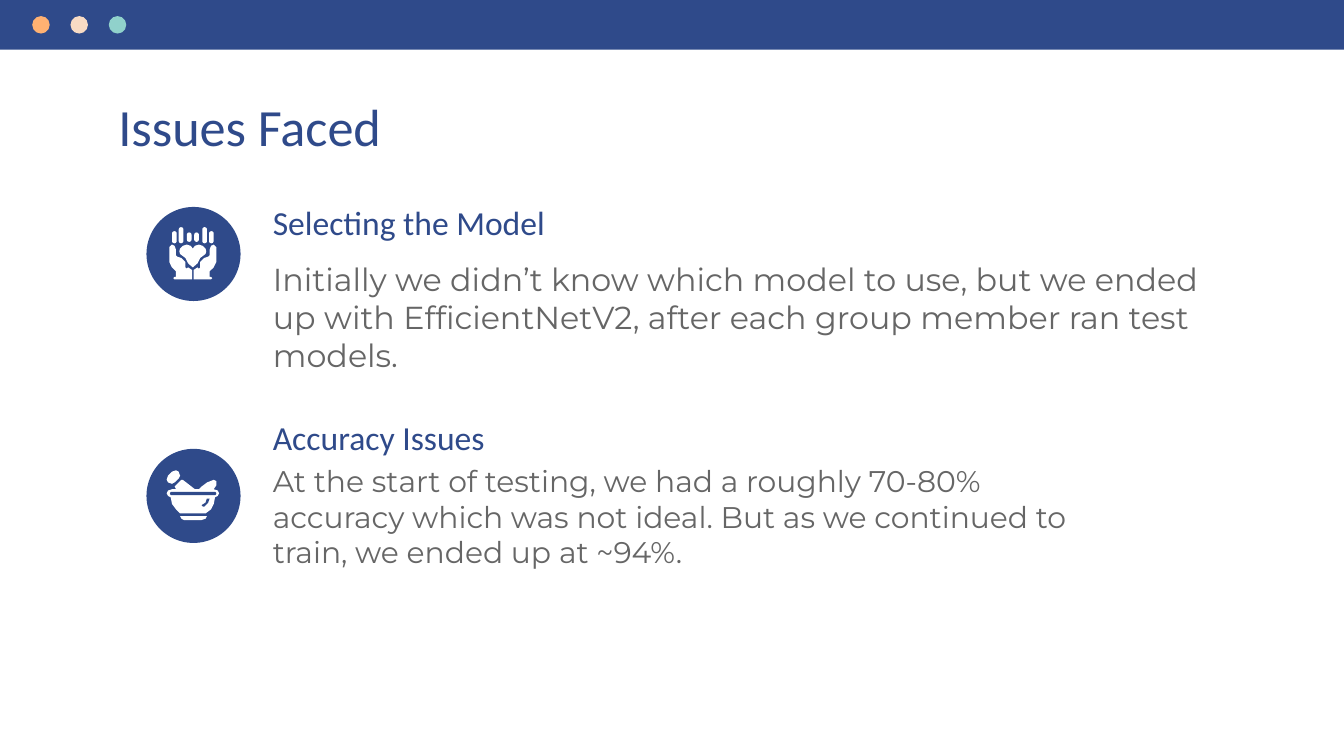
from pptx import Presentation
from pptx.dml.color import RGBColor
from pptx.enum.shapes import MSO_SHAPE
from pptx.enum.text import MSO_ANCHOR, MSO_AUTO_SIZE, PP_ALIGN
from pptx.oxml.ns import qn
from pptx.util import Inches, Pt

OVAL, RECT, ROUND = MSO_SHAPE.OVAL, MSO_SHAPE.RECTANGLE, MSO_SHAPE.ROUNDED_RECTANGLE
TOP, LEFT, NO_FIT = MSO_ANCHOR.TOP, PP_ALIGN.LEFT, MSO_AUTO_SIZE.NONE
NAVY, WHITE, GRAY = "2F4A8A", "FFFFFF", "666666"
DOTS = ["FFB172", "F8DBC4", "90D1CB"]
DISC = 0.7

# Icon outlines, in hundredths of an inch from the corner of the disc.
AXIS = 69  # x + mirrored x
FINGERS = [(19, 18, 3.5, 9), (24, 15, 3.5, 12), (30, 19, 3.5, 7)]
PALM = [(17, 30), (19, 28), (21, 29), (22, 32), (22, 36), (23, 37), (26, 38),
        (29, 41), (29, 45), (30, 46), (31, 45), (34, 47), (34, 54), (21, 54),
        (20, 53), (21, 52), (22, 52), (22, 48), (19, 45), (17, 41)]
HEART = [(34.5, 31), (33, 29), (30, 28), (27, 29), (25, 31), (24.5, 33),
         (25, 35), (29, 38), (31, 42), (34.5, 45)]
BOWL = [(26, 23), (22, 27), (21, 28), (22, 30), (19, 30), (16, 31), (15, 33),
        (16, 35), (18, 36), (19, 41), (22, 45), (25, 48), (44, 48), (48, 45),
        (50, 41), (51, 36), (53, 35), (54, 33), (53, 31), (50, 30), (52, 27),
        (52, 24), (50, 23), (45, 25), (41, 28), (39, 30), (36, 30), (27, 23)]
SHINE = [(47, 37), (46, 40), (43, 43), (42, 43), (41, 42), (44, 40), (45, 37)]
PESTLE = [(22, 16), (19, 17), (16, 20), (15, 23), (16, 25), (19, 26),
          (21, 25), (24, 22), (25, 20), (24, 17)]
FOOT = [(25, 50), (45, 50), (44, 52), (41, 53), (28, 53), (26, 52)]


def rgb(code):
    return RGBColor.from_string(code)


def paint(shape, color):
    shape.shadow.inherit = False
    shape.fill.solid()
    shape.fill.fore_color.rgb = rgb(color)
    shape.line.fill.background()
    return shape


def add(slide, kind, x, y, w, h, color):
    box = [Inches(v) for v in (x, y, w, h)]
    return paint(slide.shapes.add_shape(kind, *box), color)


def trace(slide, x, y, points, color=WHITE):
    """Draw a closed outline whose points are relative to (x, y)."""
    spots = [(Inches(x + a / 100), Inches(y + b / 100)) for a, b in points]
    pen = slide.shapes.build_freeform(*spots[0])
    pen.add_line_segments(spots[1:], close=True)
    paint(pen.convert_to_shape(), color)


def pill(slide, x, y, part, color):
    a, b, w, h = [v / 100 for v in part]
    add(slide, ROUND, x + a, y + b, w, h, color).adjustments[0] = 0.5


def flip(points):
    return [(AXIS - a, b) for a, b in points]


def draw_hands(slide, x, y):
    for a, b, w, h in FINGERS:
        for left in (a, AXIS - a - w):
            pill(slide, x, y, (left, b, w, h), WHITE)
    for shape in (PALM, flip(PALM), HEART + flip(HEART)[::-1]):
        trace(slide, x, y, shape)


def draw_bowl(slide, x, y):
    for shape in (BOWL, PESTLE, FOOT):
        trace(slide, x, y, shape)
    trace(slide, x, y, SHINE, NAVY)
    pill(slide, x, y, (17.5, 32, 34.5, 2.5), NAVY)


def draw_bar(slide, x, y, w, h):
    add(slide, RECT, x, y, w, h, NAVY)
    for i, color in enumerate(DOTS):
        add(slide, OVAL, x + 0.24 + i * 0.285, y + 0.12, 0.13, 0.13, color)


def write(holder, box, text, size, font, color, after=0):
    """Place a placeholder and set its one paragraph, without a bullet."""
    holder.left, holder.top, holder.width, holder.height = map(Inches, box)
    frame = holder.text_frame
    frame.word_wrap, frame.auto_size = True, NO_FIT
    frame.vertical_anchor = TOP
    frame.margin_left = frame.margin_right = Inches(0.1)
    frame.margin_top = frame.margin_bottom = Inches(0.1)
    frame.text = text
    para = frame.paragraphs[0]
    props = para._p.get_or_add_pPr()
    props.set("marL", "0")
    props.set("indent", "0")
    props.append(props.makeelement(qn("a:buNone"), {}))
    para.alignment = LEFT
    para.space_before, para.space_after = Pt(0), Pt(after)
    para.font.name, para.font.size = font, Pt(size)
    para.font.bold = False
    para.font.color.rgb = rgb(color)


def add_issue(slide, x, y, first, head, body, size, wide, tall, gap, drop, icon):
    """Icon disc, heading and text; gap and drop are offsets from the top."""
    add(slide, OVAL, x, y + drop, DISC, DISC, NAVY)
    icon(slide, x, y + drop)
    spots = slide.placeholders
    write(spots[first], (x + 0.84, y, 2.49, 0.51), head, 18, "Calibri", NAVY)
    write(spots[first + 1], (x + 0.84, y + gap, wide, tall), body, size,
          "Montserrat", GRAY, 12)


def main():
    deck = Presentation()
    deck.slide_width = Inches(10)
    deck.slide_height = deck.slide_width * 9 // 16
    slide = deck.slides.add_slide(deck.slide_layouts.get_by_name("Comparison"))
    draw_bar(slide, 0, 0, 10, 0.37)
    write(slide.shapes.title, (0.78, 0.6, 8.44, 0.51), "Issues Faced", 28,
          "Calibri", NAVY)
    add_issue(slide, 1.09, 1.4, 1, "Selecting the Model",
              "Initially we didn’t know which model to use, but we ended up with "
              "EfficientNetV2, after each group member ran test models.",
              17, 7.41, 1.17, 0.43, 0.14, draw_hands)
    add_issue(slide, 1.09, 3, 3, "Accuracy Issues",
              "At the start of testing, we had a roughly 70-80% accuracy which was "
              "not ideal. But as we continued to train, we ended up at ~94%.",
              16, 6.29, 1.43, 0.34, 0.34, draw_bowl)
    deck.save("out.pptx")


if __name__ == "__main__":
    main()
